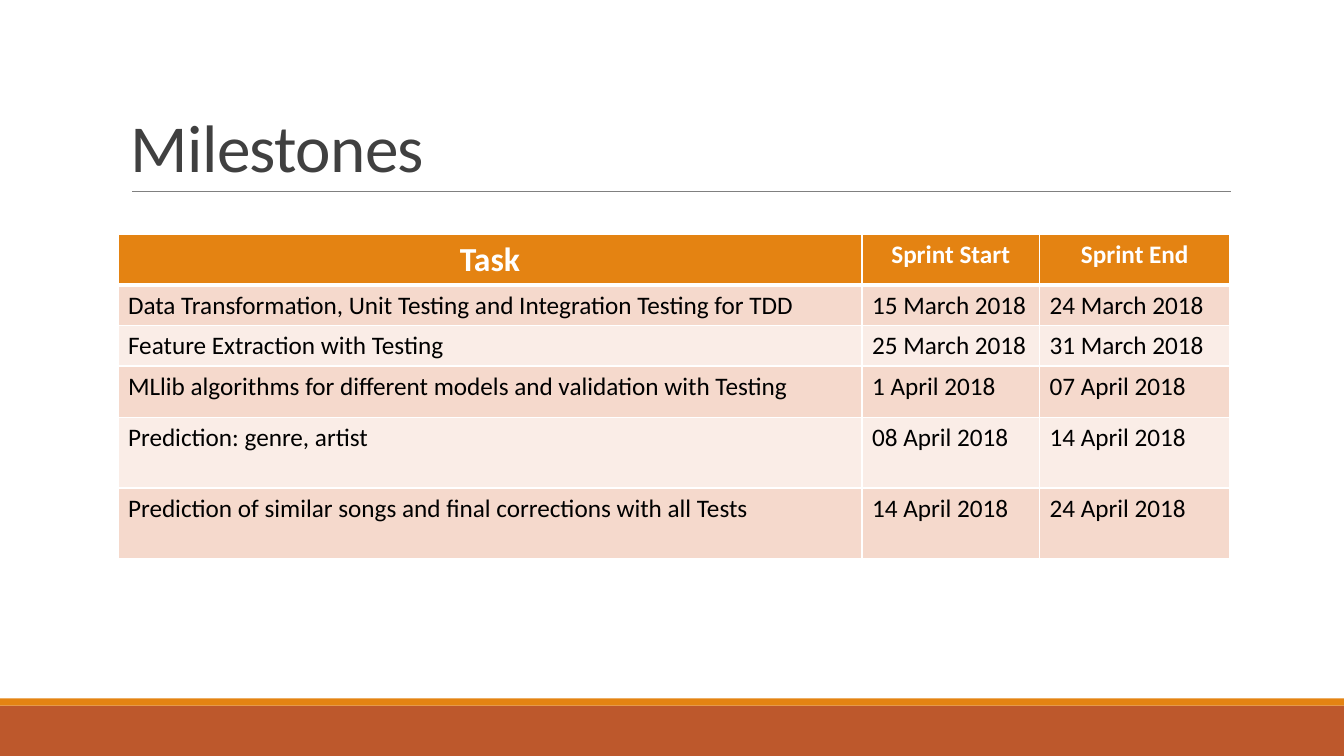
from lxml import etree
from pptx import Presentation
from pptx import util as u
from pptx.dml.color import RGBColor
from pptx.enum import shapes, text
from pptx.oxml import ns

COLORS = {"orange": "E48312", "rust": "BD582C", "rule": "808080",
          "title": "404040", "white": "FFFFFF", "black": "000000",
          "band_dark": "F5D9CC", "band_light": "FAEDE7"}
FONT = "Calibri"


def rgb(name):
    return RGBColor.from_string(COLORS[name])


def add_border(cell, side, points):
    ln = etree.SubElement(cell._tc.get_or_add_tcPr(), ns.qn(f"a:{side}"),
                          w=str(u.Pt(points)))
    fill = etree.SubElement(ln, ns.qn("a:solidFill"))
    etree.SubElement(fill, ns.qn("a:srgbClr"), val=COLORS["white"])


prs = Presentation()
prs.slide_width, prs.slide_height = u.Inches(13.33), u.Inches(7.5)
s = prs.slides.add_slide(prs.slide_layouts[6])

# Footer bands
for top, height, color in [(7, 0.5, "rust"), (6.93, 0.07, "orange")]:
    sp = s.shapes.add_shape(shapes.MSO_SHAPE.RECTANGLE, 0, u.Inches(top),
                            prs.slide_width, u.Inches(height))
    sp.shadow.inherit = False
    sp.fill.solid()
    sp.fill.fore_color.rgb = rgb(color)
    sp.line.fill.background()

# Rule under the title
rule_y = u.Inches(1.9)
rule = s.shapes.add_connector(shapes.MSO_CONNECTOR.STRAIGHT,
                              u.Inches(1.31), rule_y, u.Inches(12.21), rule_y)
rule.line.color.rgb = rgb("rule")
rule.line.width = u.Pt(0.5)
etree.SubElement(rule._element.spPr, ns.qn("a:effectLst"))

# Title
title = s.shapes.add_textbox(u.Inches(1.2), u.Inches(0.31),
                             u.Inches(11), u.Inches(1.59))
tf = title.text_frame
tf.word_wrap = True
tf.vertical_anchor = text.MSO_ANCHOR.BOTTOM
p = tf.paragraphs[0]
p.line_spacing = 0.85
p.font.name, p.font.size = FONT, u.Pt(48)
p.font.color.rgb = rgb("title")
r = p.add_run()
r.text = "Milestones"
r._r.get_or_add_rPr().set("spc", "-50")

# Milestone table
milestones = [
    ("Task", "Sprint Start", "Sprint End"),
    ("Data Transformation, Unit Testing and Integration Testing for TDD",
     "15 March 2018", "24 March 2018"),
    ("Feature Extraction with Testing", "25 March 2018", "31 March 2018"),
    ("MLlib algorithms for different models and validation with Testing",
     "1 April 2018", "07 April 2018"),
    ("Prediction: genre, artist", "08 April 2018", "14 April 2018"),
    ("Prediction of similar songs and final corrections with all Tests",
     "14 April 2018", "24 April 2018"),
]
col_widths = [7.38, 1.76, 1.89]
row_heights = [0.41, 0.4, 0.4, 0.51, 0.7, 0.7]
table = s.shapes.add_table(len(row_heights), len(col_widths),
                           u.Inches(1.17), u.Inches(2.33),
                           u.Inches(sum(col_widths)),
                           u.Inches(sum(row_heights))).table
for column, width in zip(table.columns, col_widths):
    column.width = u.Inches(width)

for i, (row, height, values) in enumerate(zip(table.rows, row_heights, milestones)):
    row.height = u.Inches(height)
    header = i == 0
    band = "orange" if header else "band_dark" if i % 2 else "band_light"
    for j, (cell, value) in enumerate(zip(row.cells, values)):
        for side in ("lnL", "lnR", "lnT", "lnB"):
            header_edge = (i, side) in [(0, "lnB"), (1, "lnT")]
            add_border(cell, side, 3 if header_edge else 1)
        cell.fill.solid()
        cell.fill.fore_color.rgb = rgb(band)
        cell.text = value
        p = cell.text_frame.paragraphs[0]
        p.alignment = text.PP_ALIGN.CENTER if header else text.PP_ALIGN.LEFT
        p.font.name = FONT
        p.font.size = u.Pt(24 if header and j == 0 else 18)
        p.font.bold = header
        p.font.color.rgb = rgb("white" if header else "black")

prs.save("out.pptx")
